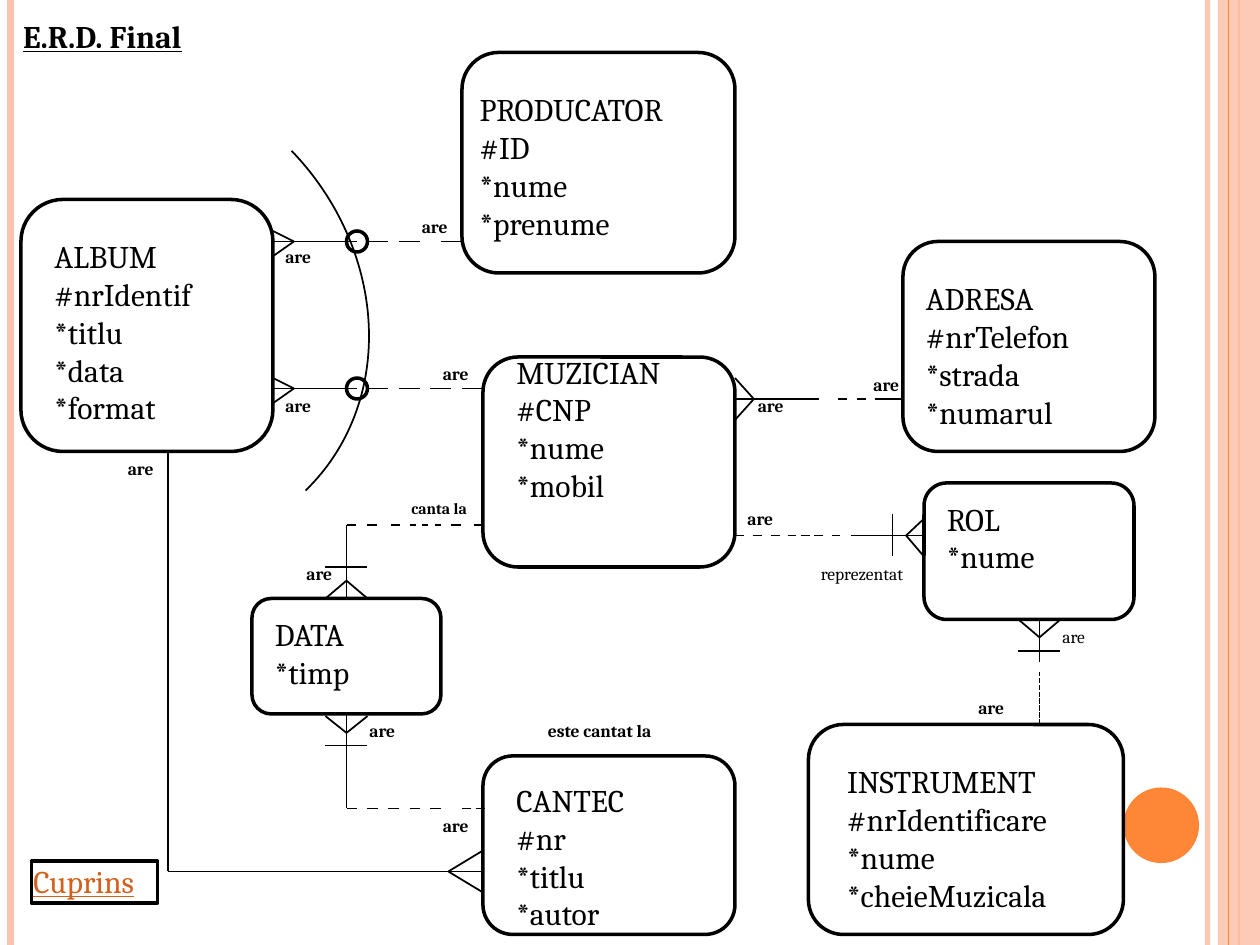
from dataclasses import dataclass

from lxml.etree import SubElement
from pptx import Presentation
from pptx.dml.color import RGBColor
from pptx.enum.dml import MSO_LINE
from pptx.enum.shapes import MSO_CONNECTOR, MSO_SHAPE
from pptx.enum.text import MSO_ANCHOR, MSO_AUTO_SIZE, PP_ALIGN
from pptx.oxml.ns import qn
from pptx.util import Inches, Pt


@dataclass(frozen=True)
class Theme:
    font: str = "Cambria"
    ink: str = "000000"
    paper: str = "FFFFFF"
    accent: str = "FE8637"
    tint: str = "FEC3AE"
    link: str = "D2611C"
    body_size: float = 18
    label_size: float = 10
    small_size: float = 9
    outline: float = 2
    hairline: float = 1


@dataclass(frozen=True)
class Entity:
    box: tuple[float, float, float, float]
    text_at: tuple[float, float, float]  # column, row, width
    lines: str
    filled: bool = True


@dataclass(frozen=True)
class Label:
    text: str
    column: float
    row: float
    width: float = 6
    size: float = Theme.label_size
    bold: bool = True


@dataclass(frozen=True)
class Dashes:
    row: float
    starts: tuple[float, ...]
    length: float


THEME = Theme()
COLUMNS, ROWS = 120, 90  # twelve cells to the inch

ENTITIES = [
    Entity((46, 34, 24, 20), (48, 33, 20), "MUZICIAN\n#CNP\n*nume\n*mobil"),
    Entity((86, 23, 24, 20), (87, 26, 20), "ADRESA\n#nrTelefon\n*strada\n*numarul"),
    Entity((77, 69, 30, 20), (79.5, 72, 25), "INSTRUMENT\n#nrIdentificare\n*nume\n*cheieMuzicala"),
    Entity((2, 19, 24, 24), (4, 22, 20), "ALBUM\n#nrIdentif\n*titlu\n*data\n*format"),
    Entity((46, 72, 24, 17), (48, 73.8, 20), "CANTEC\n#nr\n*titlu\n*autor"),
    Entity((44, 5, 26, 21), (44.5, 8, 25), "PRODUCATOR\n#ID\n*nume\n*prenume"),
    Entity((24, 57, 18, 11), (25, 58, 14), "DATA\n*timp", False),
    Entity((88, 46, 20, 13), (89, 47, 16), "ROL\n*nume", False),
]

LABELS = [
    Label("are", 70, 47.8, 10), Label("canta la", 38, 46.9, 12, THEME.small_size),
    Label("are", 71, 37), Label("are", 82, 35), Label("are", 92, 65.8),
    Label("este cantat la", 51, 68, 16), Label("are", 41, 77), Label("are", 11, 43),
    Label("are", 26, 37), Label("are", 26, 22.8), Label("are", 39, 20),
    Label("are", 41, 34), Label("are", 34, 68, 8), Label("are", 28, 53),
    Label("reprezentat", 77, 53, 12, bold=False), Label("are", 100, 59, bold=False),
]

SOLID_LINES = [
    (16, 43, 16, 83), (16, 83, 46, 83),  # album to song
    (26, 23, 34, 23), (26, 37, 34, 37),  # album to producer and musician
    (33, 50, 33, 57), (33, 68, 33, 77),  # above and below the date
    (70, 38, 78, 38), (81, 51, 88, 51), (99, 59, 99, 63),
    (31, 54, 35, 54), (31, 71, 35, 71), (97, 62, 101, 62), (85, 49, 85, 53),  # bars
]

DASHED_ROWS = [
    Dashes(23, (35, 38, 42), 2), Dashes(37, (35, 38, 41, 44), 2),
    Dashes(38, (79.8, 81.6), 0.9), Dashes(38, (83.3,), 2.7),
    Dashes(50, (33, 35, 37.2, 43, 45.1), 0.9), Dashes(50, (39, 40.2, 41.4), 0.6),
    Dashes(51, (70, 71.7, 73.4, 75, 76.3, 77.5, 79.2), 0.85),
    Dashes(77, (33, 35, 37, 39, 41), 1), Dashes(77, (44, 45.3), 0.85),
]

# Crow's feet: the tip, then the two toes on the entity's edge
CROW_FEET = [
    ((28, 23), (26, 22), (26, 24.4)), ((28, 37), (26, 36), (26, 38.4)),
    ((42.7, 83), (46, 81), (46, 85)), ((71.8, 38), (70, 36), (70, 40)),
    ((86.3, 51), (88, 49.4), (88, 53)), ((99, 60.7), (97, 59), (101, 59)),
    ((33, 55.3), (31, 57), (35, 57)), ((33, 69.8), (31, 68.2), (35, 68.2)),
]

presentation = Presentation()
presentation.slide_width, presentation.slide_height = Inches(10), Inches(7.5)
slide = presentation.slides.add_slide(presentation.slide_layouts[5])


def across(columns: float) -> int:
    return round(presentation.slide_width * columns / COLUMNS)


def down(rows: float) -> int:
    return round(presentation.slide_height * rows / ROWS)


def frame(column: float, row: float, width: float, height: float) -> tuple[int, ...]:
    return across(column), down(row), across(width), down(height)


def set_alpha(fill_format, percent: int) -> None:
    color = fill_format._xPr.find(qn("a:solidFill"))[0]
    SubElement(color, qn("a:alpha")).set("val", str(percent * 1000))


def add_line(x1: float, y1: float, x2: float, y2: float, color: str = THEME.ink,
             width: float = THEME.hairline):
    line = slide.shapes.add_connector(
        MSO_CONNECTOR.STRAIGHT, across(x1), down(y1), across(x2), down(y2))
    line.line.color.rgb = RGBColor.from_string(color)
    line.line.width = Pt(width)
    SubElement(line._element.spPr, qn("a:effectLst"))
    return line


def add_figure(kind: MSO_SHAPE, box: tuple, fill: str | None = None,
               line: str | None = THEME.ink, width: float = THEME.outline):
    shape = slide.shapes.add_shape(kind, *frame(*box))
    shape.shadow.inherit = False
    if fill:
        shape.fill.solid()
        shape.fill.fore_color.rgb = RGBColor.from_string(fill)
    else:
        shape.fill.background()
    if line:
        shape.line.color.rgb = RGBColor.from_string(line)
        shape.line.width = Pt(width)
    else:
        shape.line.fill.background()
    return shape


def write(text: str, column: float, row: float, width: float, *, size: float = THEME.body_size,
          color: str = THEME.ink, bold: bool = False, underline: bool = False, shape=None):
    lines = text.split("\n")
    height = 1.2 + len(lines) * size * 0.2
    shape = shape or slide.shapes.add_textbox(0, 0, 1, 1)
    shape.left, shape.top, shape.width, shape.height = frame(column, row, width, height)
    text_frame = shape.text_frame
    text_frame.word_wrap = True
    text_frame.auto_size = MSO_AUTO_SIZE.NONE
    text_frame.vertical_anchor = MSO_ANCHOR.TOP
    text_frame.text = text
    for paragraph in text_frame.paragraphs:
        paragraph.alignment = PP_ALIGN.LEFT
        font = paragraph.runs[0].font
        font.name, font.size = THEME.font, Pt(size)
        font.bold, font.underline = bold, underline
        font.color.rgb = RGBColor.from_string(color)


# Side stripes, band and dot
stripe = add_line(115, 0, 115, ROWS, THEME.tint, 3)
set_alpha(stripe.line.fill, 93)
add_line(1, 0, 1, ROWS, THEME.tint, 4.5)
add_line(118, 0, 118, ROWS, THEME.accent, 1.5)
band = add_figure(MSO_SHAPE.RECTANGLE, (116, 0, 4, ROWS), THEME.tint, None)
set_alpha(band.fill, 87)
add_line(117, 0, 117, ROWS, THEME.accent, 0.75)
add_figure(MSO_SHAPE.OVAL, (107, 75, 7.2, 7.2), THEME.accent, None)

# Title and contents button
write("E.R.D. Final", 1, 1, 26, bold=True, underline=True, shape=slide.shapes.title)
write("Cuprins", 2, 81.5, 19, color=THEME.link, underline=True)
add_figure(MSO_SHAPE.RECTANGLE, (3, 82, 12, 4))

# Entities
for entity in ENTITIES:
    add_figure(MSO_SHAPE.ROUNDED_RECTANGLE, entity.box, THEME.paper if entity.filled else None)
    write(entity.lines, *entity.text_at)

# Relationships
for ends in SOLID_LINES:
    add_line(*ends)
for dashes in DASHED_ROWS:
    for start in dashes.starts:
        add_line(start, dashes.row, start + dashes.length, dashes.row)
for tip, *toes in CROW_FEET:
    for toe in toes:
        add_line(*tip, *toe)
add_line(99, 69, 99, 64).line.dash_style = MSO_LINE.SQUARE_DOT

# Exclusive arc with its two rings
arc = add_figure(MSO_SHAPE.ARC, (-11.9, 7.8, 48.4, 43), width=THEME.hairline)
arc.rotation = 46
for row in (22, 36):
    add_figure(MSO_SHAPE.OVAL, (33, row, 2, 2))

# Relationship labels
for label in LABELS:
    write(label.text, label.column, label.row, label.width, size=label.size, bold=label.bold)

presentation.save("out.pptx")
